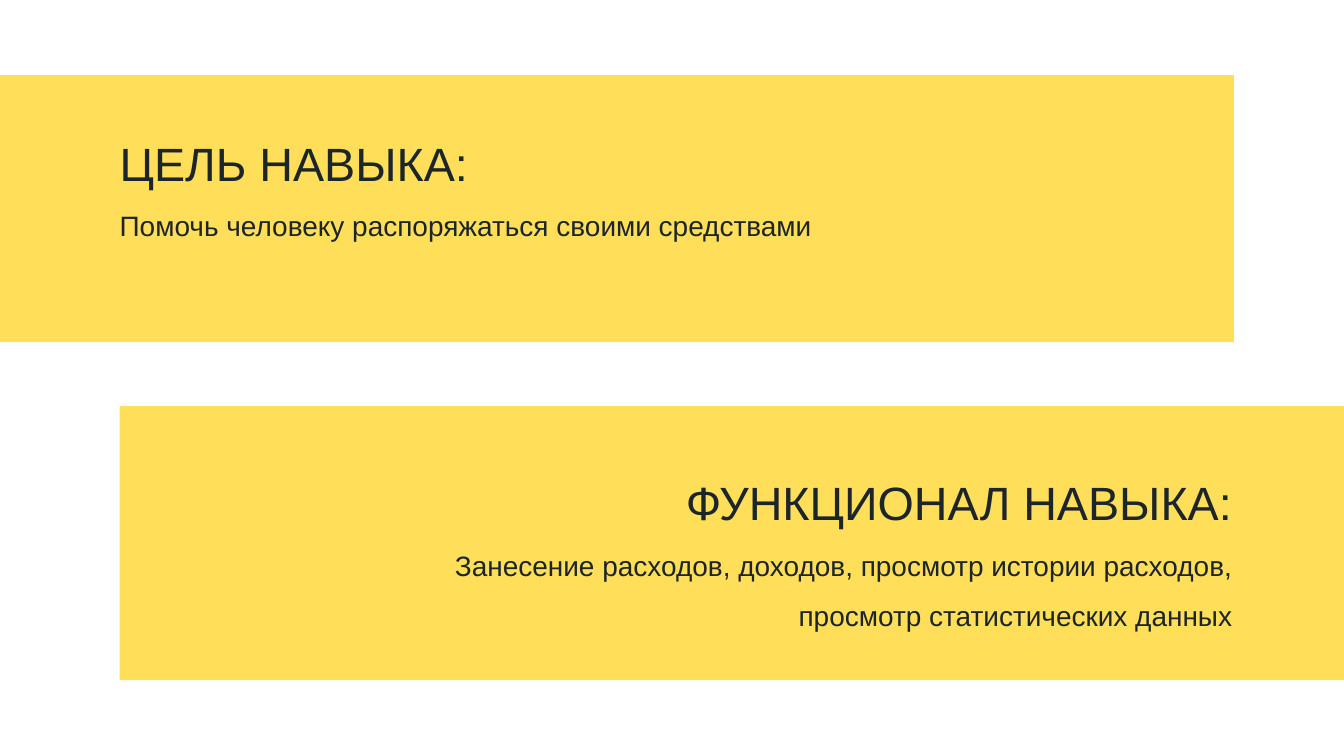
from pptx import Presentation
from pptx.dml.color import RGBColor
from pptx.enum.shapes import MSO_SHAPE
from pptx.enum.text import MSO_AUTO_SIZE, PP_ALIGN
from pptx.util import Inches, Pt

RECT = MSO_SHAPE.RECTANGLE
LEFT, RIGHT = PP_ALIGN.LEFT, PP_ALIGN.RIGHT
GROW = MSO_AUTO_SIZE.SHAPE_TO_FIT_TEXT


def color(code):
    return RGBColor.from_string(code)


class Deck:
    font = "Arial"
    ink = "1C2529"
    band_fill = "FFDE59"

    def __init__(self, slide):
        self.slide = slide

    def band(self, x, y, w, h):
        shape = self.slide.shapes.add_shape(
            RECT, Inches(x), Inches(y), Inches(w), Inches(h))
        shape.shadow.inherit = False
        shape.fill.solid()
        shape.fill.fore_color.rgb = color(self.band_fill)
        shape.line.fill.background()

    def text(self, x, y, w, h, words, size, space, align):
        box = self.slide.shapes.add_textbox(
            Inches(x), Inches(y), Inches(w), Inches(h))
        frame = box.text_frame
        frame.margin_left = frame.margin_right = 0
        frame.margin_top = frame.margin_bottom = 0
        frame.word_wrap = True
        frame.auto_size = GROW
        par = frame.paragraphs[0]
        par.text = words
        par.alignment = align
        par.line_spacing = space
        par.font.name = self.font
        par.font.size = Pt(size)
        par.font.color.rgb = color(self.ink)

    def topic(self, x, y, w, h, title, body, align):
        """Place a title with its body text below; h is the body height."""
        self.text(x, y, w, 0.84, title, 50, 1.4, align)
        self.text(x, y + 1.19, w, h, body, 30, 1.5, align)


def main():
    prs = Presentation()
    prs.slide_width, prs.slide_height = Inches(20), Inches(11.25)
    deck = Deck(prs.slides.add_slide(prs.slide_layouts[6]))

    deck.band(-0.53, 1.12, 18.89, 3.97)
    deck.band(1.78, 6.04, 19.25, 4.08)
    deck.topic(5.92, 6.72, 12.42, 1.51, "ФУНКЦИОНАЛ НАВЫКА:",
               "Занесение расходов, доходов, просмотр истории расходов, "
               "просмотр статистических данных", RIGHT)
    deck.topic(1.78, 1.67, 12.22, 0.76, "ЦЕЛЬ НАВЫКА:",
               "Помочь человеку распоряжаться своими средствами", LEFT)
    prs.save("out.pptx")


if __name__ == "__main__":
    main()
